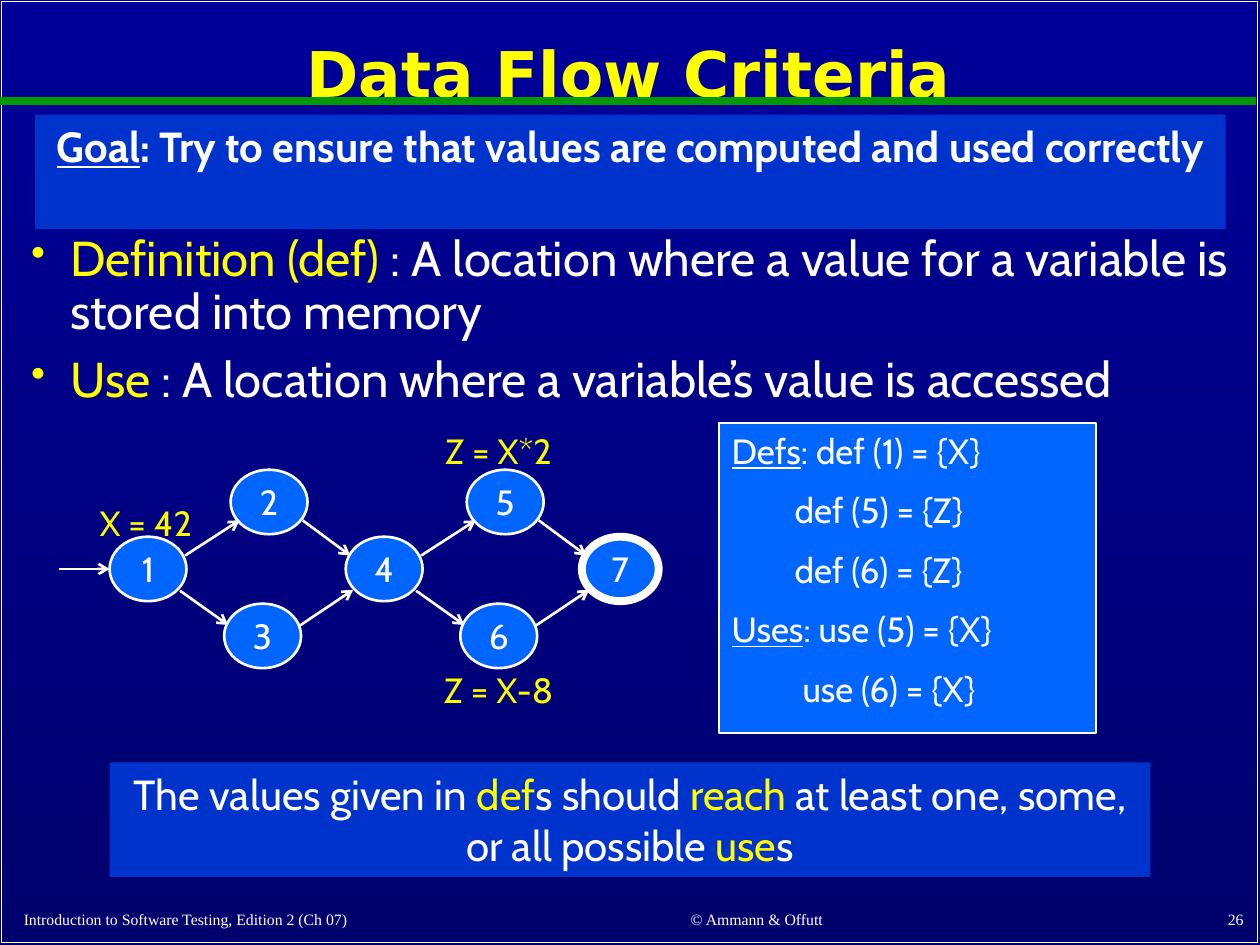
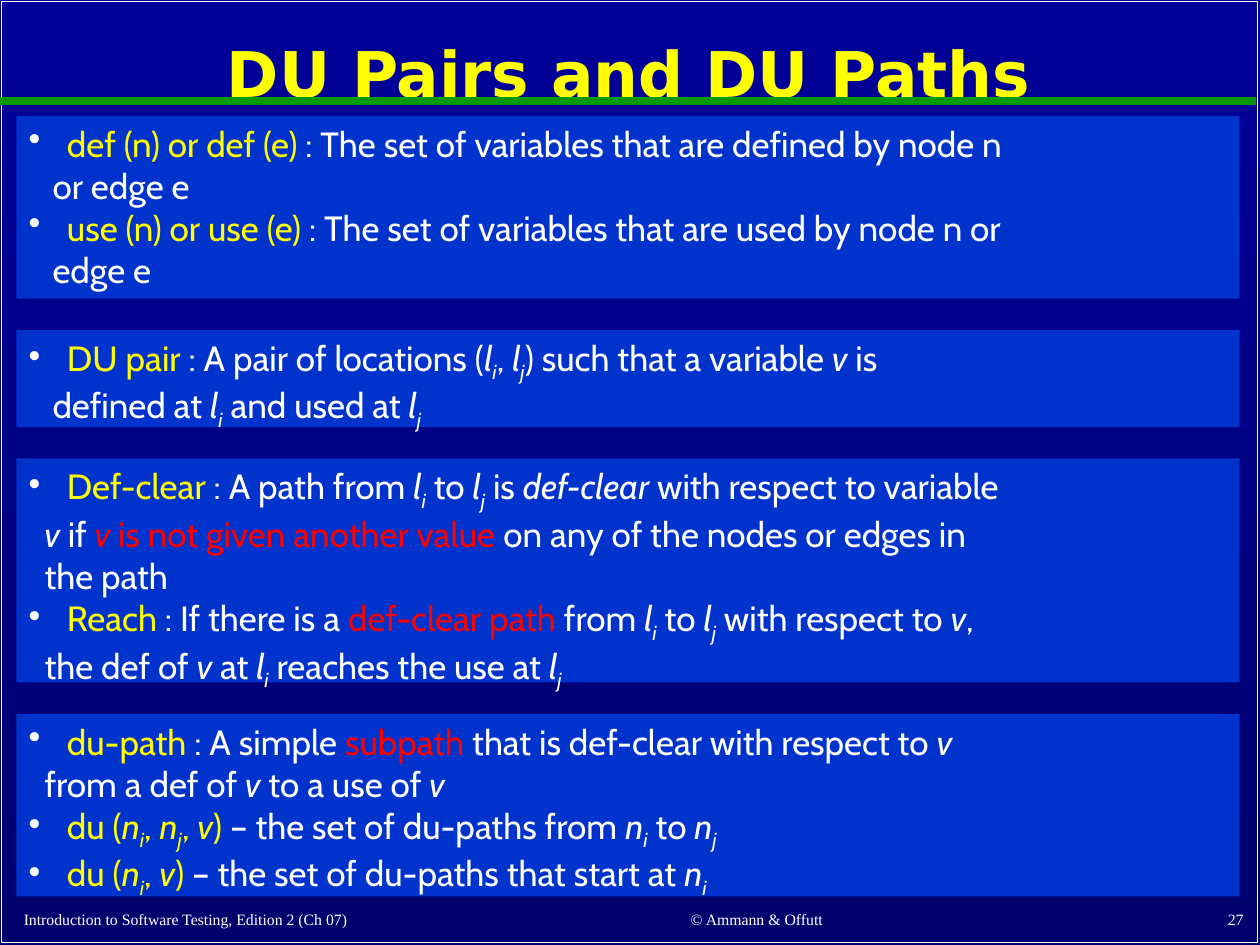
from dataclasses import dataclass, field

from lxml.etree import SubElement
from pptx import Presentation
from pptx.dml.color import RGBColor as Rgb
from pptx.enum.shapes import MSO_CONNECTOR as Link, MSO_SHAPE as Preset
from pptx.enum.text import MSO_ANCHOR as Anchor, MSO_AUTO_SIZE as AutoSize, PP_ALIGN as Align
from pptx.oxml.ns import qn
from pptx.util import Cm, Pt


@dataclass(frozen=True)
class Theme:
    white: str = "FFFFFF"
    yellow: str = "FFFF00"
    label: str = "FAFD00"
    red: str = "FF0000"
    green: str = "009900"
    panel: str = "0033CC"
    node: str = "0066FF"
    sky: tuple = ("000099", "00006D")
    title_font: str = "DejaVu Sans"
    body_font: str = "Cabin"
    footer_font: str = "Times New Roman"
    title_size: float = 36
    bullet_size: float = 28
    callout_size: float = 24
    text_size: float = 20
    footer_size: float = 9


THEME = Theme()
TONES = {
    "term": {"color": THEME.yellow},
    "label": {"color": THEME.label},
    "alert": {"color": THEME.red},
    "heavy": {"bold": True},
    "under": {"underline": True},
    "var": {"italic": True},
    "sub": {"italic": True, "baseline": "-25000"},
}


@dataclass(frozen=True)
class Box:
    left: float
    top: float
    width: float
    height: float

    def inner(self, left, top, width, height):
        return Box(self.left + left, self.top + top, width, height)

    def lengths(self):
        return [Cm(side) for side in (self.left, self.top, self.width, self.height)]


@dataclass
class Para:
    runs: list
    indent: float = 0
    hang: float = 0
    bullet: str = ""
    bullet_scale: int = 100
    formats: dict = field(default_factory=dict)


def apply(target, formats):
    for name, value in formats.items():
        setattr(target, name, value)


def style_run(run, tone, size, font):
    formats = {"color": THEME.white, "name": font, "size": Pt(size)}
    for word in tone.split():
        formats.update(TONES[word])
    run.font.color.rgb = Rgb.from_string(formats.pop("color"))
    baseline = formats.pop("baseline", None)
    apply(run.font, formats)
    if baseline:
        run.font._element.set("baseline", baseline)


def set_indent(paragraph, para):
    props = paragraph._p.get_or_add_pPr()
    props.set("marL", str(Cm(para.indent)))
    props.set("indent", str(Cm(-para.hang)))
    if para.bullet:
        colour = SubElement(props, qn("a:buClr"))
        SubElement(colour, qn("a:srgbClr"), val=para.bullet)
        SubElement(props, qn("a:buSzPct"), val=str(para.bullet_scale * 1000))
        SubElement(props, qn("a:buChar"), char="•")


def write(shape, paras, size, font=THEME.body_font, align=Align.LEFT, gap=0, **frame_formats):
    frame = shape.text_frame
    apply(frame, {"word_wrap": True, "auto_size": AutoSize.NONE,
                  "vertical_anchor": Anchor.TOP, **frame_formats})
    for order, para in enumerate(paras):
        paragraph = frame.add_paragraph() if order else frame.paragraphs[0]
        set_indent(paragraph, para)
        apply(paragraph, {"alignment": align, "space_before": Pt(gap if order else 0),
                          **para.formats})
        for text, tone in para.runs:
            run = paragraph.add_run()
            run.text = text
            style_run(run, tone, size, font)


def add_block(slide, box, fill=None, line=None, preset=Preset.RECTANGLE):
    block = slide.shapes.add_shape(preset, *box.lengths())
    block.shadow.inherit = False
    if fill:
        block.fill.solid()
        block.fill.fore_color.rgb = Rgb.from_string(fill)
    else:
        block.fill.background()
    if line:
        block.line.color.rgb = Rgb.from_string(THEME.white)
        block.line.width = Pt(line)
    else:
        block.line.fill.background()
    return block


def add_text(slide, box, paras, size, **formats):
    write(slide.shapes.add_textbox(*box.lengths()), paras, size, **formats)


def add_line(slide, start, end, colour, width, arrow=False):
    line = slide.shapes.add_connector(Link.STRAIGHT, *(Cm(v) for v in (*start, *end)))
    line.line.color.rgb = Rgb.from_string(colour)
    line.line.width = Pt(width)
    if arrow:
        SubElement(line.line._get_or_add_ln(), qn("a:tailEnd"), type="arrow")
    SubElement(line._element.spPr, qn("a:effectLst"))


def add_footer(slide, box, number):
    parts = (("Introduction to Software Testing, Edition 2 (Ch 07)", 0, 10.46, Align.LEFT),
             ("© Ammann & Offutt", 11, 8.05, Align.CENTER),
             (str(number), 19.81, 5.28, Align.RIGHT))
    for text, left, width, align in parts:
        add_text(slide, box.inner(left, 0, width, box.height), [Para([(text, "")])],
                 THEME.footer_size, font=THEME.footer_font, align=align,
                 vertical_anchor=Anchor.BOTTOM)


def start_slide(deck, title, number):
    slide = deck.slides.add_slide(deck.slide_layouts[5])
    add_block(slide, Box(0.03, 0.03, 25.32, 18.97), line=1)
    add_line(slide, (0, 2.03), (25.32, 2.03), THEME.green, 4.5)
    heading = slide.shapes.title
    names = ("left", "top", "width", "height")
    apply(heading, dict(zip(names, Box(0.23, 0.28, 24.89, 2.54).lengths())))
    write(heading, [Para([(title, "term heavy")], formats={"line_spacing": 0.9})],
          THEME.title_size, font=THEME.title_font, align=Align.CENTER,
          vertical_anchor=Anchor.MIDDLE)
    add_footer(slide, Box(0.23, 18.06, 25.09, 0.79), number)
    return slide


def add_callout(slide, box, runs):
    write(add_block(slide, box, THEME.panel), [Para(runs)], THEME.callout_size,
          align=Align.CENTER)


def add_definitions(slide, box):
    entries = (("Definition (def)", " : A location where a value for a variable is stored into memory"),
               ("Use", " : A location where a variable’s value is accessed"))
    paras = [Para([(term, "term"), (meaning, "")], 0.79, 0.79, THEME.yellow, 85,
                  {"line_spacing": 0.9}) for term, meaning in entries]
    add_text(slide, box, paras, THEME.bullet_size, gap=8.5)


def add_flow_graph(slide, box):
    hub_step, row_step = 4.76, 1.35
    first_hub, first_row = 1.02, 0.94
    upper_shift, lower_shift = 2.44, 2.31
    node_width, node_height = 1.55, 1.3
    places = {"1": (0, 0, 1), "2": (0, upper_shift, 0), "3": (0, lower_shift, 2),
              "4": (1, 0, 1), "5": (1, upper_shift, 0), "6": (1, lower_shift, 2),
              "7": (2, 0, 1)}
    for name, (hub, shift, row) in places.items():
        spot = box.inner(first_hub + hub * hub_step + shift, first_row + row * row_step,
                         node_width, node_height)
        node = add_block(slide, spot, THEME.node, 4.5 if name == "7" else 1.5, Preset.OVAL)
        write(node, [Para([(name, "")])], THEME.text_size, align=Align.CENTER,
              vertical_anchor=Anchor.MIDDLE, margin_left=0, margin_right=0,
              margin_top=0, margin_bottom=0)

    entry = ((-first_hub, 0.65), (0, 0.65))
    diamond = (((1.52, 0.38), (2.62, -0.33)), ((1.42, 1.09), (2.39, 1.78)),
               ((3.89, -0.33), (4.85, 0.38)), ((3.82, 1.8), (4.91, 1.07)))
    edges = [(0, entry)] + [(hub, edge) for hub in range(2) for edge in diamond]
    for hub, edge in edges:
        left = box.left + first_hub + hub * hub_step
        top = box.top + first_row + row_step
        start, end = ((left + x, top + y) for x, y in edge)
        add_line(slide, start, end, THEME.white, 1.5, arrow=True)

    for text, left, top in (("X = 42", 0.33, 1.45), ("Z = X-8", 7.44, 4.83), ("Z = X*2", 7.44, 0)):
        add_text(slide, box.inner(left, top, 2.84, 1.1), [Para([(text, "label")])],
                 THEME.text_size, align=Align.CENTER)


def add_def_use_sets(slide, box):
    paras = [Para([("Defs", "under"), (": def (1) = {X}", "")]),
             Para([("def (5) = {Z}", "")], 1.27),
             Para([("def (6) = {Z}", "")], 1.27),
             Para([("Uses", "under"), (": use (5) = {X}", "")]),
             Para([("use (6) = {X}", "")], 1.43)]
    write(add_block(slide, box, THEME.node, 1), paras, THEME.text_size, gap=10)


def indexed(letter, index, tone=""):
    return [(letter, f"{tone} var"), (index, f"{tone} sub")]


def point(term, *runs):
    return Para([*term, *runs], 0.77, 0.77, THEME.white)


def du_panels():
    l_i, l_j = indexed("l", "i"), indexed("l", "j")
    n_i, n_j = indexed("n", "i"), indexed("n", "j")
    term_i, term_j = indexed("n", "i", "term"), indexed("n", "j", "term")
    v, term_v = ("v", "var"), ("v", "term var")
    opening, comma, closing = ("du (", "term"), (", ", "term"), (")", "term")
    wide, narrow = 0.48, 0.32
    sets = [
        point([("def (n) or def (e) ", "term")],
              (": The set of variables that are defined by node n", "")),
        Para([("or edge e", "")], wide),
        point([("use (n) or use (e)", "term")],
              (" : The set of variables that are used by node n or", "")),
        Para([("edge e", "")], wide)]
    pair = [
        point([("DU pair", "term")], (" : A pair of locations (", ""), *l_i, (", ", ""), *l_j,
              (") such that a variable ", ""), v, (" is", "")),
        Para([("defined at ", ""), *l_i, (" and used at ", ""), *l_j], wide)]
    clear = [
        point([("Def-clear", "term")], (" : A path from ", ""), *l_i, (" to ", ""), *l_j,
              (" is ", ""), ("def-clear", "var"), (" with respect to variable", "")),
        Para([v, (" if ", ""), ("v", "alert var"), (" is not given another value", "alert"),
              (" on any of the nodes or edges in", "")], narrow),
        Para([("the path", "")], narrow),
        point([("Reach", "term")], (" : If there is a ", ""), ("def-clear path ", "alert"),
              ("from ", ""), *l_i, (" to ", ""), *l_j, (" with respect to ", ""), v, (",", "")),
        Para([("the def of ", ""), v, (" at ", ""), *l_i, (" reaches the use at ", ""), *l_j],
             narrow)]
    paths = [
        point([("du-path", "term")], (" : A simple ", ""), ("subpath ", "alert"),
              ("that is def-clear with respect to ", ""), v),
        Para([("from a def of ", ""), v, (" to a use of ", ""), v], narrow),
        point([opening, *term_i, comma, *term_j, comma, term_v, closing],
              (" – the set of du-paths from ", ""), *n_i, (" to ", ""), *n_j),
        point([opening, *term_i, comma, term_v, closing],
              (" – the set of du-paths that start at ", ""), *n_i)]
    return (3.68, sets), (1.96, pair), (4.52, clear), (3.68, paths)


def add_panel_stack(slide, box, panels):
    top, gap = 0, 0.63
    for height, paras in panels:
        panel = add_block(slide, box.inner(0, top, box.width, height), THEME.panel)
        write(panel, paras, THEME.text_size)
        top += height + gap


def build_criteria_slide(deck):
    slide = start_slide(deck, "Data Flow Criteria", 26)
    add_callout(slide, Box(0.71, 2.31, 24, 2.31), [
        ("Goal", "heavy under"),
        (": Try to ensure that values are computed and used correctly", "heavy")])
    add_definitions(slide, Box(0.38, 4.6, 24.64, 3.78))
    add_flow_graph(slide, Box(1.19, 8.53, 12.1, 5.95))
    add_def_use_sets(slide, Box(14.5, 8.53, 7.6, 6.25))
    add_callout(slide, Box(2.21, 15.37, 20.98, 2.31), [
        ("The values given in ", ""), ("def", "term"), ("s should ", ""), ("reach", "term"),
        (" at least one, some, or all possible ", ""), ("use", "term"), ("s", "")])


def build_pairs_slide(deck):
    slide = start_slide(deck, "DU Pairs and DU Paths", 27)
    add_panel_stack(slide, Box(0.33, 2.34, 24.66, 15.73), du_panels())


def main():
    deck = Presentation()
    apply(deck, {"slide_width": Cm(25.4), "slide_height": Cm(19.05)})
    sky = deck.slide_master.background.fill
    sky.gradient()
    sky.gradient_angle = 270
    for stop, colour in zip(sky.gradient_stops, THEME.sky):
        stop.color.rgb = Rgb.from_string(colour)
    build_criteria_slide(deck)
    build_pairs_slide(deck)
    deck.save("out.pptx")


if __name__ == "__main__":
    main()
